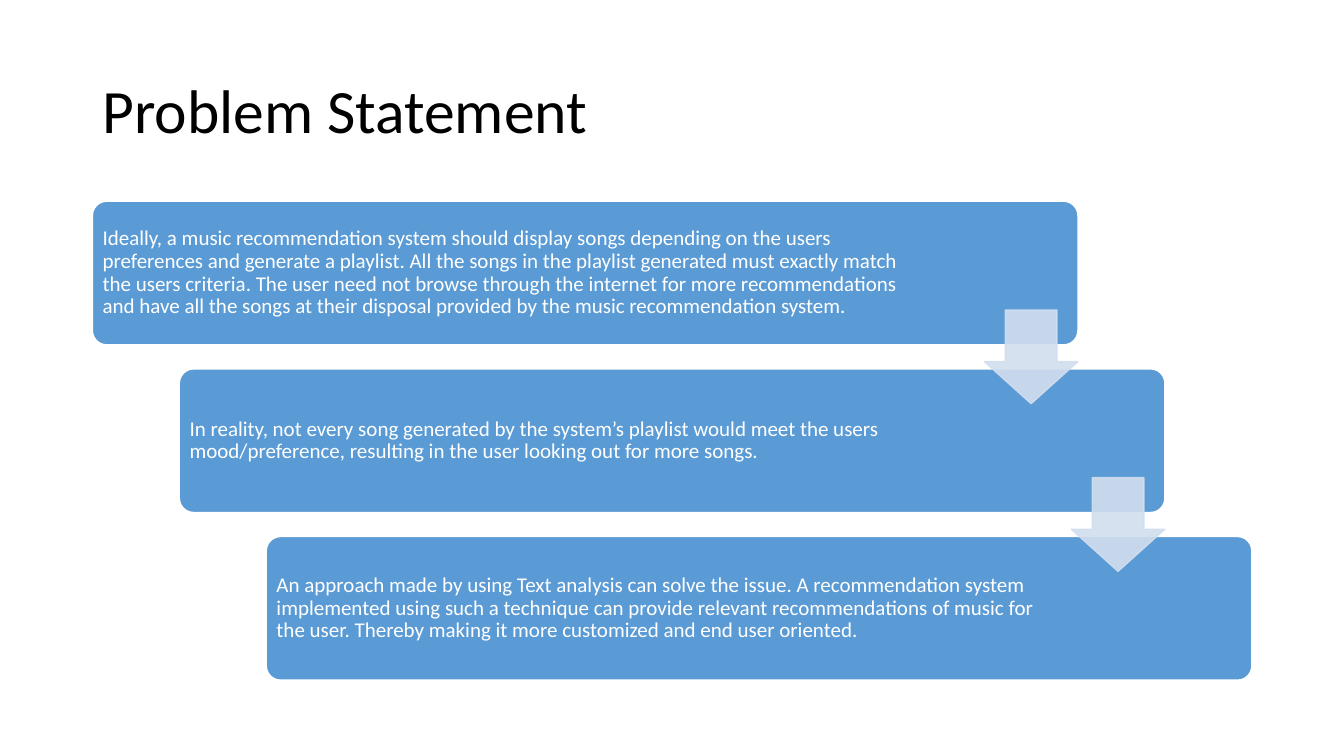
from lxml import etree
from pptx import Presentation
from pptx.dml.color import RGBColor
from pptx.enum.shapes import MSO_SHAPE
from pptx.enum.text import MSO_ANCHOR, PP_ALIGN
from pptx.oxml.ns import qn
from pptx.util import Pt

ROUND_RECT = MSO_SHAPE.ROUNDED_RECTANGLE
DOWN_ARROW = MSO_SHAPE.DOWN_ARROW
MIDDLE = MSO_ANCHOR.MIDDLE
LEFT = PP_ALIGN.LEFT

# Content: each step is (text, right inset in points)
TITLE = "Problem Statement"
STEPS = [
    ("Ideally, a music recommendation system should display songs depending on "
     "the users preferences and generate a playlist. All the songs in the playlist "
     "generated must exactly match the users criteria. The user need not browse "
     "through the internet for more recommendations and have all the songs at their "
     "disposal provided by the music recommendation system.", 110),
    ("In reality, not every song generated by the system’s playlist would meet the "
     "users mood/preference, resulting in the user looking out for more songs.", 134),
    ("An approach made by using Text analysis can solve the issue. A recommendation "
     "system implemented using such a technique can provide relevant recommendations "
     "of music for the user. Thereby making it more customized and end user oriented.",
     134),
]

THEME = {
    "font": "Calibri", "title_size": 44, "step_size": 15,
    "title": "000000", "step_text": "FFFFFF", "step": "5B9BD5",
    "outline": "FFFFFF", "arrow": "D2DEEF", "arrow_alpha": 90,
}

# Layout in points
SLIDE_W, SLIDE_H = 960, 540
TITLE_BOX = (66, 28.75, 828, 104.4)
STEP_X, STEP_Y, STEP_W, STEP_H = 66, 143.75, 704, 102.6
SHIFT_X, SHIFT_Y = 62.1, 119.75
ARROW = 66.9
INSET = 4.3


def write(sp, text, size, color, insets):
    tf = sp.text_frame
    left, top, right, bottom = map(Pt, insets)
    frame = {"word_wrap": True, "vertical_anchor": MIDDLE, "margin_left": left,
             "margin_top": top, "margin_right": right, "margin_bottom": bottom}
    for name, value in frame.items():
        setattr(tf, name, value)
    p = tf.paragraphs[0]
    p.alignment, p.line_spacing = LEFT, 0.9
    r = p.add_run()
    r.text = text
    r.font.name, r.font.size = THEME["font"], Pt(size)
    r.font.color.rgb = RGBColor.from_string(color)


def add_shape(s, kind, box, adjustments, fill, line, alpha=100):
    sp = s.shapes.add_shape(kind, *map(Pt, box))
    sp.shadow.inherit = False
    for i, value in enumerate(adjustments):
        sp.adjustments[i] = value
    sp.fill.solid()
    sp.fill.fore_color.rgb = RGBColor.from_string(fill)
    sp.line.color.rgb = RGBColor.from_string(line)
    sp.line.width = Pt(1)
    if alpha < 100:
        for color in sp._element.spPr.iter(qn("a:srgbClr")):
            etree.SubElement(color, qn("a:alpha")).set("val", str(alpha * 1000))
    return sp


def main():
    prs = Presentation()
    prs.slide_width, prs.slide_height = Pt(SLIDE_W), Pt(SLIDE_H)
    s = prs.slides.add_slide(prs.slide_layouts[6])

    # Title
    title = s.shapes.add_textbox(*map(Pt, TITLE_BOX))
    write(title, TITLE, THEME["title_size"], THEME["title"], (7.2, 3.6, 7.2, 3.6))

    # Staircase of steps
    corners = [(STEP_X + i * SHIFT_X, STEP_Y + i * SHIFT_Y) for i in range(len(STEPS))]
    for (x, y), (text, right) in zip(corners, STEPS):
        sp = add_shape(s, ROUND_RECT, (x, y, STEP_W, STEP_H), [0.1],
                       THEME["step"], THEME["outline"])
        write(sp, text, THEME["step_size"], THEME["step_text"],
              (INSET, INSET, right, INSET))

    # Arrows, flush right and centred on the gap below each step but the last
    for x, y in corners[:-1]:
        gap_middle = y + (STEP_H + SHIFT_Y) / 2
        box = (x + STEP_W - ARROW, gap_middle - ARROW / 2, ARROW, ARROW)
        add_shape(s, DOWN_ARROW, box, [0.55, 0.45], THEME["arrow"], THEME["arrow"],
                  THEME["arrow_alpha"])

    prs.save("out.pptx")


if __name__ == "__main__":
    main()
